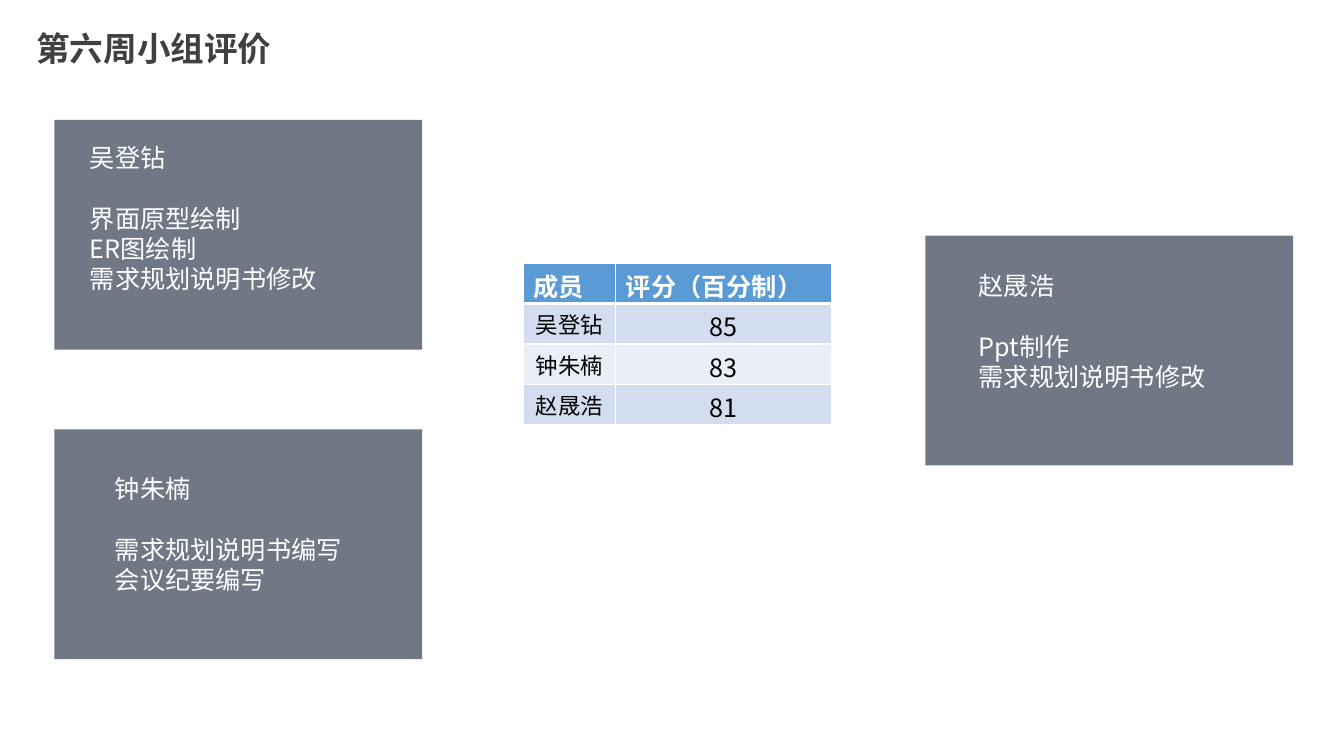
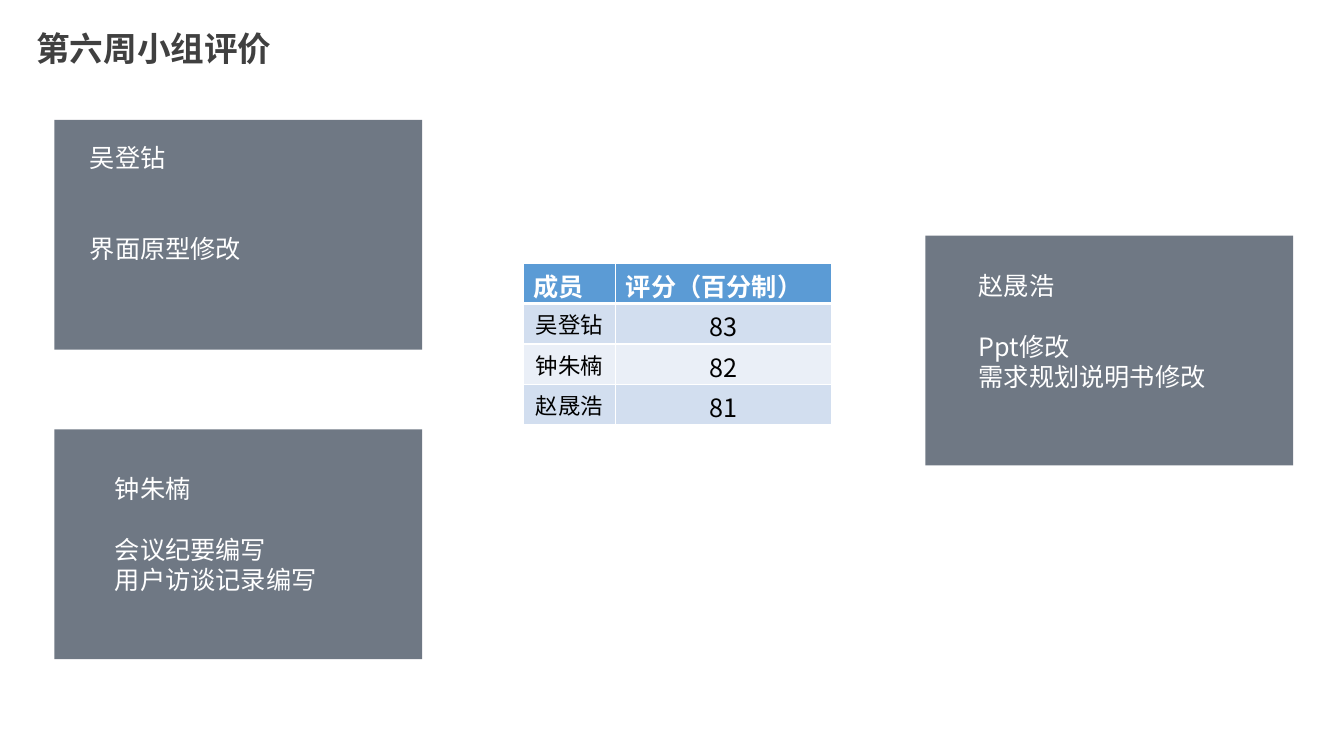
"""Build the two weekly group review slides."""
from dataclasses import dataclass

import lxml.etree
import pptx
import pptx.dml.color
import pptx.enum.shapes
import pptx.enum.text
import pptx.oxml.ns
import pptx.util

Cm, Pt = pptx.util.Cm, pptx.util.Pt
ALIGN = pptx.enum.text.PP_ALIGN
FONT = "Noto Sans CJK SC"
WHITE, BLACK, INK, SLATE, BLUE = "FFFFFF", "000000", "404040", "333F50", "5B9BD5"
BANDS = ("D2DEEF", "EAEFF7")
LEAD = 1.2
CARD_W, CARD_H = 9.27, 5.79
COLS, ROW_H = (2.34, 5.44), 1.02


@dataclass(frozen=True)
class Box:
    """A place on the slide, in centimetres."""
    left: float
    top: float
    width: float
    height: float

    def args(self) -> tuple:
        """Return the four lengths for python-pptx."""
        return Cm(self.left), Cm(self.top), Cm(self.width), Cm(self.height)


@dataclass(frozen=True)
class Card:
    """A panel and the text area on it."""
    panel: Box
    text: Box


@dataclass(frozen=True)
class Member:
    """One member's tasks, score and gap in lines under the name."""
    name: str
    tasks: tuple
    score: int
    gap: int = 1


TITLE = Box(0.66, 0.58, 6.5, 1.27)
CARDS = (
    Card(Box(1.37, 3.02, CARD_W, CARD_H), Box(2.01, 3.47, 7.11, 4.88)),
    Card(Box(1.37, 10.82, CARD_W, CARD_H), Box(2.64, 11.8, 6.63, 3.33)),
    Card(Box(23.32, 5.94, CARD_W, CARD_H), Box(24.41, 6.69, 6.88, 3.33)),
)
WEEKS = (
    (
        Member("吴登钻", ("界面原型绘制", "ER图绘制", "需求规划说明书修改"), 85),
        Member("钟朱楠", ("需求规划说明书编写", "会议纪要编写"), 83),
        Member("赵晟浩", ("Ppt制作", "需求规划说明书修改"), 81),
    ),
    (
        Member("吴登钻", ("界面原型修改",), 83, gap=2),
        Member("钟朱楠", ("会议纪要编写", "用户访谈记录编写"), 82),
        Member("赵晟浩", ("Ppt修改", "需求规划说明书修改"), 81),
    ),
)


def paint(target, color: str) -> None:
    """Give a fill one solid colour."""
    target.solid()
    target.fore_color.rgb = pptx.dml.color.RGBColor.from_string(color)


def add_tag(parent, tag: str, **attrs: str):
    """Append a drawing element and return it."""
    return lxml.etree.SubElement(parent, pptx.oxml.ns.qn(tag), **attrs)


def style(para, size: int, color: str, bold: bool = False,
          align=ALIGN.LEFT) -> None:
    """Format a paragraph, with a fixed line pitch."""
    font = para.font
    font.size, font.bold = Pt(size), bold
    paint(font.fill, color)
    font.name = FONT
    base = para._p.pPr.find(pptx.oxml.ns.qn("a:defRPr"))
    add_tag(base, "a:ea", typeface=FONT)
    para.alignment = align
    para.line_spacing = Pt(size * LEAD)
    para.space_before = para.space_after = Pt(0)


def place(holder, box: Box, wrap: bool = True):
    """Move a placeholder and return its text frame."""
    holder.left, holder.top, holder.width, holder.height = box.args()
    frame = holder.text_frame
    frame.word_wrap = wrap
    frame.auto_size = pptx.enum.text.MSO_AUTO_SIZE.NONE
    frame.vertical_anchor = pptx.enum.text.MSO_ANCHOR.TOP
    return frame


def add_title(slide, text: str) -> None:
    """Fill the slide title."""
    frame = place(slide.shapes.title, TITLE, wrap=False)
    frame.text = text
    style(frame.paragraphs[0], 24, INK, bold=True)


def add_card(slide, holder, card: Card, member: Member) -> None:
    """Draw a panel behind a member's task list."""
    panel = slide.shapes.add_shape(
        pptx.enum.shapes.MSO_SHAPE.RECTANGLE, *card.panel.args())
    panel.shadow.inherit = False
    paint(panel.fill, SLATE)
    tint = next(panel.element.spPr.iter(pptx.oxml.ns.qn("a:srgbClr")))
    add_tag(tint, "a:alpha", val="70000")
    panel.line.fill.background()
    holder.element.addprevious(panel.element)

    frame = place(holder, card.text)
    frame.text = "\n".join((member.name, *member.tasks))
    for row, para in enumerate(frame.paragraphs):
        style(para, 18, WHITE)
        props = para._p.pPr
        props.set("marL", "0")
        props.set("indent", "0")
        base = props.find(pptx.oxml.ns.qn("a:defRPr"))
        base.addprevious(add_tag(props, "a:buNone"))
        if row == 1:
            para.space_before = Pt(18 * LEAD * member.gap)


def add_edges(cell, top: int, base: int) -> None:
    """Rule a cell in white, with given top and base widths."""
    props = cell._tc.get_or_add_tcPr()
    sides = (("L", 1), ("R", 1), ("T", top), ("B", base))
    for spot, (side, width) in enumerate(sides):
        line = add_tag(props, f"a:ln{side}", w=str(Pt(width)))
        add_tag(add_tag(line, "a:solidFill"), "a:srgbClr", val=WHITE)
        props.insert(spot, line)


def add_scores(slide, team: tuple) -> None:
    """Draw the score table."""
    rows = [("成员", "评分（百分制）")]
    rows += [(member.name, str(member.score)) for member in team]
    box = Box(13.18, 6.63, sum(COLS), ROW_H * len(rows))
    grid = slide.shapes.add_table(len(rows), len(COLS), *box.args()).table
    for col, width in zip(grid.columns, COLS):
        col.width = Cm(width)
    for row, texts in enumerate(rows):
        grid.rows[row].height = Cm(ROW_H)
        head = row == 0
        for col, text in enumerate(texts):
            cell = grid.cell(row, col)
            cell.text = text
            cell.margin_top, cell.margin_bottom = Cm(0.25), Cm(0)
            paint(cell.fill, BLUE if head else BANDS[(row - 1) % 2])
            add_edges(cell, 3 if row == 1 else 1, 3 if head else 1)
            para = cell.text_frame.paragraphs[0]
            if head:
                style(para, 18, WHITE, bold=True)
            else:
                style(para, 18 if col else 16, BLACK, align=ALIGN.CENTER)


def add_week(deck, team: tuple) -> None:
    """Add one review slide."""
    slide = deck.slides.add_slide(deck.slide_layouts.get_by_name("Comparison"))
    add_title(slide, "第六周小组评价")
    bodies = list(slide.placeholders)[1:]
    for holder, card, member in zip(bodies, CARDS, team):
        add_card(slide, holder, card, member)
    for spare in bodies[len(team):]:
        spare.element.getparent().remove(spare.element)
    add_scores(slide, team)


def main() -> None:
    """Build and save the deck."""
    deck = pptx.Presentation()
    deck.slide_width, deck.slide_height = Cm(33.87), Cm(19.05)
    for team in WEEKS:
        add_week(deck, team)
    deck.save("out.pptx")


main()
